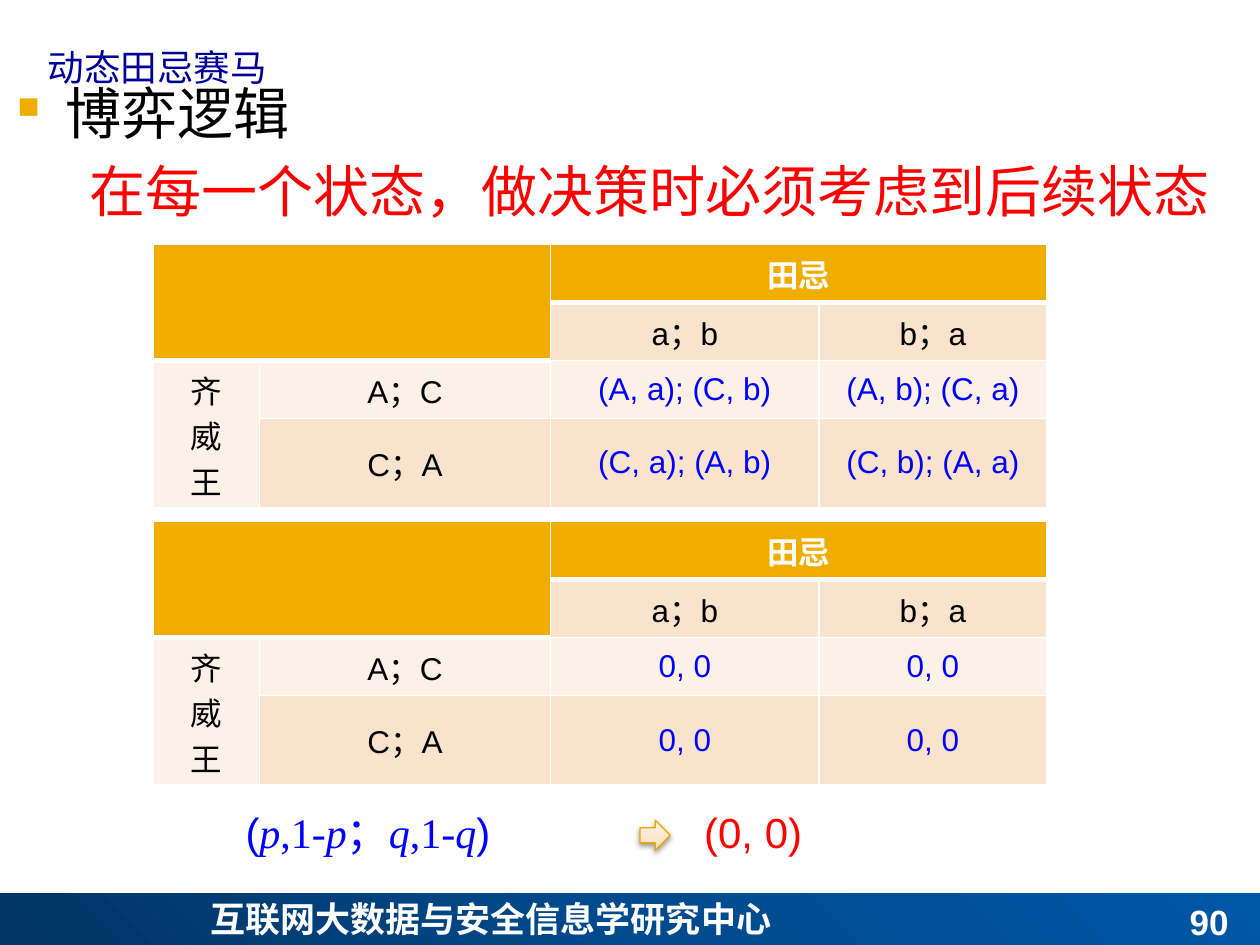
from lxml.etree import SubElement
from pptx import Presentation
from pptx.dml.color import RGBColor
from pptx.enum.shapes import MSO_SHAPE as Shape
from pptx.enum.text import MSO_ANCHOR as Anchor, PP_ALIGN as Align
from pptx.oxml import parse_xml
from pptx.oxml.ns import nsdecls, qn
from pptx.util import Inches, Pt

THEME = {
    "navy": "000099", "black": "000000", "white": "FFFFFF", "red": "FF0000",
    "blue": "0000FF", "gold": "F0AD00", "band": "F9E3CC", "pale": "FCF1E7",
    "arrow_line": "EBA900", "shadow": "000000",
    "footer_stops": [(0, "003463"), (50, "004A8D"), (100, "0057A7")],
    "arrow_stops": [(0, "FFDBB5"), (35, "FFE5CB"), (100, "FFF5EB")],
    "sans": "Arial", "serif": "Times New Roman", "cjk": "Noto Sans CJK SC",
    "title": 36, "body": 32, "formula": 24, "footer": 20, "cell": 18,
}

TITLE = "动态田忌赛马"
HEADING = "博弈逻辑"
RULE = "在每一个状态，做决策时必须考虑到后续状态"
CENTER = "互联网大数据与安全信息学研究中心"
PAGE = "90"

COLUMN_PLAYER = "田忌"
ROW_PLAYER = "齐威王"
COLUMN_MOVES = ["a；b", "b；a"]
ROW_MOVES = ["A；C", "C；A"]
GAMES = [
    (1.94, [["(A, a); (C, b)", "(A, b); (C, a)"],
            ["(C, a); (A, b)", "(C, b); (A, a)"]]),
    (4.14, [["0, 0", "0, 0"], ["0, 0", "0, 0"]]),
]
STRATEGY = [("(", "sans", False), ("p", "serif", True), (",1", "serif", False),
            ("-p", "serif", True), ("；", "serif", False), ("q", "serif", True),
            (",1", "serif", False), ("-q", "serif", True), (")", "sans", False)]
PAYOFF = "(0, 0)"

COLUMN_WIDTHS = [0.84, 2.31, 2.13, 1.81]
ROW_HEIGHTS = [0.46, 0.46, 0.46, 0.71]
HEADER_LAST_ROW = [1, 1, 0, 0]


def write(paragraph, text, *, size, color, font="sans", bold=False,
          italic=False, align=Align.LEFT, baseline=None):
    paragraph.alignment = align
    run = paragraph.add_run()
    run.text = text
    run.font.size = Pt(THEME[size])
    run.font.name = THEME[font]
    run.font.bold = bold
    run.font.italic = italic
    run.font.color.rgb = RGBColor.from_string(THEME[color])
    properties = run.font._element
    SubElement(properties, qn("a:ea"), typeface=THEME["cjk"])
    if baseline:
        properties.set("baseline", str(baseline * 1000))


def text_box(slide, left, top, width, height, anchor=Anchor.TOP):
    frame = slide.shapes.add_textbox(
        Inches(left), Inches(top), Inches(width), Inches(height)).text_frame
    frame.word_wrap = True
    frame.vertical_anchor = anchor
    return frame


def gradient_shape(slide, preset, place, stops, direction):
    shape = slide.shapes.add_shape(preset, *map(Inches, place))
    shape.shadow.inherit = False
    shape.line.fill.background()
    stop_xml = "".join(
        f'<a:gs pos="{position * 1000}"><a:srgbClr val="{color}"/></a:gs>'
        for position, color in THEME[stops])
    shape._element.spPr.find(qn("a:prstGeom")).addnext(parse_xml(
        f'<a:gradFill {nsdecls("a")} rotWithShape="1">'
        f'<a:gsLst>{stop_xml}</a:gsLst>{direction}</a:gradFill>'))
    return shape


def add_footer(slide):
    gradient_shape(
        slide, Shape.RECTANGLE, (0, 7.09, 10, 0.44), "footer_stops",
        '<a:path path="circle"><a:fillToRect t="100000" r="100000"/></a:path>')
    center = text_box(slide, 1.57, 7.07, 6.85, 0.44)
    write(center.paragraphs[0], CENTER, size="footer", color="white",
          font="cjk", bold=True, align=Align.JUSTIFY)
    page = text_box(slide, 7.52, 7.09, 2.33, 0.44, Anchor.BOTTOM)
    write(page.paragraphs[0], PAGE, size="footer", color="white",
          bold=True, align=Align.RIGHT)


def add_title(slide):
    title = slide.shapes.title
    title.left, title.top = Inches(0.28), Inches(-0.03)
    title.width, title.height = Inches(9.72), Inches(0.79)
    title.text_frame.vertical_anchor = Anchor.MIDDLE
    write(title.text_frame.paragraphs[0], TITLE, size="title", color="navy",
          font="cjk", baseline=-25)


def add_body(slide):
    body = text_box(slide, 0.04, 0.57, 10.24, 6.41)
    heading = body.paragraphs[0]
    properties = heading._p.get_or_add_pPr()
    properties.set("marL", str(Inches(0.38)))
    properties.set("indent", str(Inches(-0.38)))
    bullet_color = SubElement(properties, qn("a:buClr"))
    SubElement(bullet_color, qn("a:srgbClr"), val=THEME["gold"])
    SubElement(properties, qn("a:buSzPct"), val="54000")
    SubElement(properties, qn("a:buChar"), char="■")
    write(heading, HEADING, size="body", color="black", font="serif")
    rule = body.add_paragraph()
    rule.space_before = Pt(THEME["body"] * 0.2)
    write(rule, RULE, size="body", color="red", font="serif", align=Align.CENTER)


def set_borders(cell, top, bottom):
    properties = cell._tc.get_or_add_tcPr()
    edges = [("L", 1), ("R", 1), ("T", top), ("B", bottom)]
    for index, (side, weight) in enumerate(edges):
        properties.insert(index, parse_xml(
            f'<a:ln{side} {nsdecls("a")} w="{Pt(weight)}"><a:solidFill>'
            f'<a:srgbClr val="{THEME["white"]}"/></a:solidFill></a:ln{side}>'))


def add_game(slide, top, outcomes):
    rows = [["", "", COLUMN_PLAYER, ""],
            ["", "", *COLUMN_MOVES],
            [ROW_PLAYER, ROW_MOVES[0], *outcomes[0]],
            ["", ROW_MOVES[1], *outcomes[1]]]
    table = slide.shapes.add_table(
        len(rows), len(COLUMN_WIDTHS), Inches(1.22), Inches(top),
        Inches(sum(COLUMN_WIDTHS)), Inches(sum(ROW_HEIGHTS))).table
    for column, width in zip(table.columns, COLUMN_WIDTHS):
        column.width = Inches(width)
    for row, height in zip(table.rows, ROW_HEIGHTS):
        row.height = Inches(height)
    for first, last in [((0, 0), (1, 1)), ((0, 2), (0, 3)), ((2, 0), (3, 0))]:
        table.cell(*first).merge(table.cell(*last))

    for r, row in enumerate(rows):
        for c, text in enumerate(row):
            cell = table.cell(r, c)
            header = r <= HEADER_LAST_ROW[c]
            fill = "gold" if header else "pale" if r == 2 else "band"
            cell.fill.solid()
            cell.fill.fore_color.rgb = RGBColor.from_string(THEME[fill])
            set_borders(cell, 3 if r == HEADER_LAST_ROW[c] + 1 else 1,
                        3 if header else 1)
            cell.vertical_anchor = Anchor.MIDDLE
            color = "white" if header else "blue" if r > 1 and c > 1 else "black"
            lines = list(text) if text == ROW_PLAYER else [text] if text else []
            for index, line in enumerate(lines):
                frame = cell.text_frame
                paragraph = frame.add_paragraph() if index else frame.paragraphs[0]
                write(paragraph, line, size="cell", color=color,
                      bold=header, align=Align.CENTER)


def add_solution(slide):
    strategy = text_box(slide, 1.85, 6.35, 3.62, 0.5).paragraphs[0]
    for text, font, italic in STRATEGY:
        write(strategy, text, size="formula", color="blue", font=font, italic=italic)
    payoff = text_box(slide, 5.49, 6.35, 1.18, 0.5)
    write(payoff.paragraphs[0], PAYOFF, size="formula", color="red")
    arrow = gradient_shape(slide, Shape.RIGHT_ARROW, (5.08, 6.51, 0.24, 0.24),
                           "arrow_stops", '<a:lin ang="16200000" scaled="1"/>')
    arrow.line.color.rgb = RGBColor.from_string(THEME["arrow_line"])
    arrow.line.width = Pt(0.75)
    arrow._element.spPr.find(qn("a:effectLst")).append(parse_xml(
        f'<a:outerShdw {nsdecls("a")} blurRad="{Pt(3.1)}" dist="{Pt(1.6)}" '
        f'dir="5400000" rotWithShape="0"><a:srgbClr val="{THEME["shadow"]}">'
        '<a:alpha val="38000"/></a:srgbClr></a:outerShdw>'))


def main():
    deck = Presentation()
    deck.slide_width, deck.slide_height = Inches(10), Inches(7.5)
    slide = deck.slides.add_slide(deck.slide_layouts[5])
    add_footer(slide)
    add_title(slide)
    add_body(slide)
    for top, outcomes in GAMES:
        add_game(slide, top, outcomes)
    add_solution(slide)
    deck.save("out.pptx")


if __name__ == "__main__":
    main()
